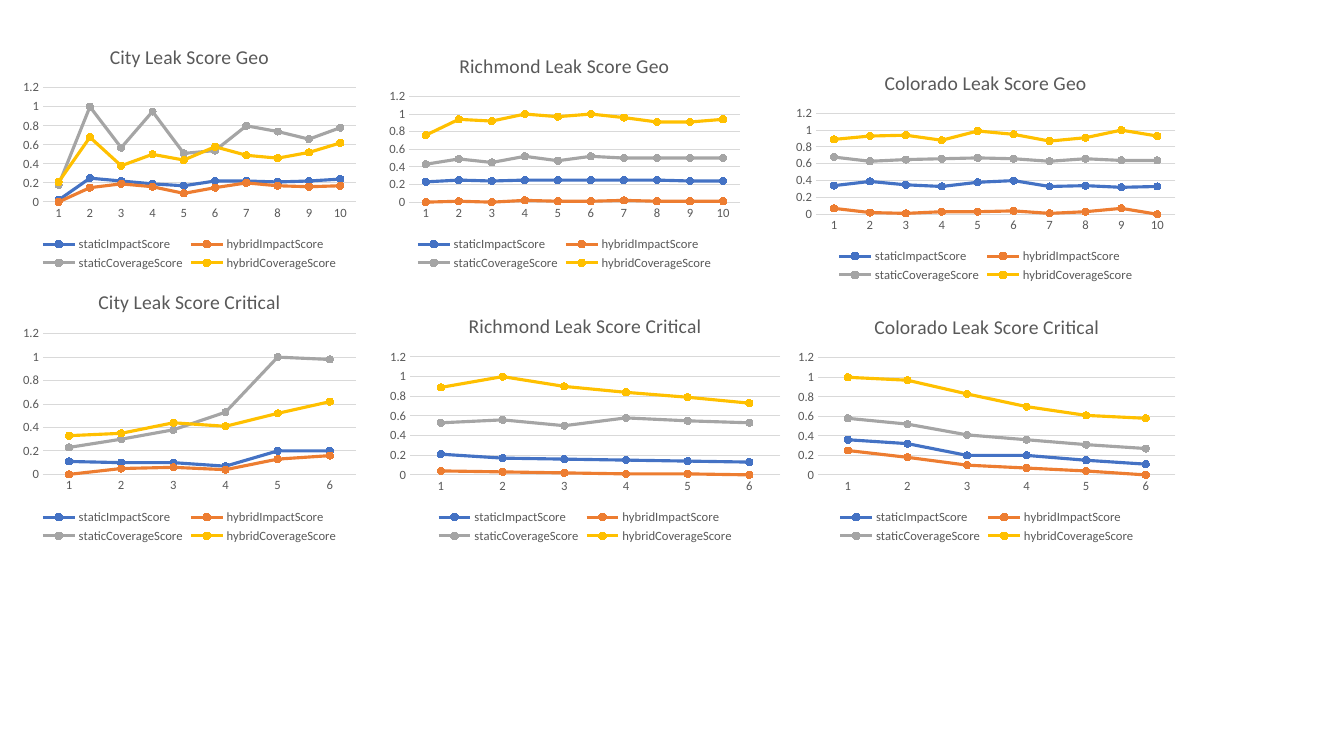
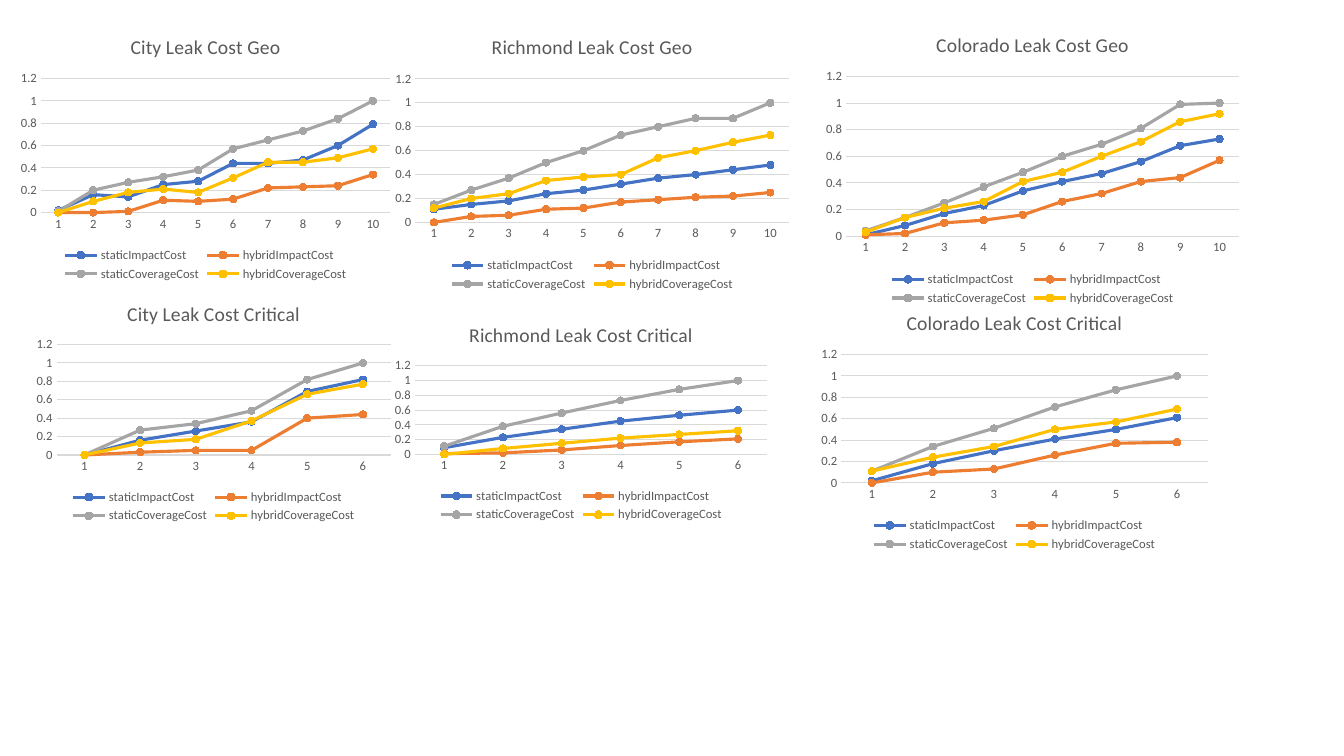
from dataclasses import dataclass
from typing import Any

from pptx import Presentation
from pptx.chart.data import CategoryChartData
from pptx.dml.color import RGBColor
from pptx.enum.chart import XL_CHART_TYPE as ChartType
from pptx.enum.chart import XL_LEGEND_POSITION as LegendPosition
from pptx.enum.chart import XL_MARKER_STYLE as MarkerStyle
from pptx.enum.chart import XL_TICK_MARK as TickMark
from pptx.util import Pt

BLACK = RGBColor(0x00, 0x00, 0x00)
TEXT_GREY = RGBColor(0x59, 0x59, 0x59)
RULE_GREY = RGBColor(0xD9, 0xD9, 0xD9)
BLUE = RGBColor(0x44, 0x72, 0xC4)
ORANGE = RGBColor(0xED, 0x7D, 0x31)
GREY = RGBColor(0xA5, 0xA5, 0xA5)
GOLD = RGBColor(0xFF, 0xC0, 0x00)

SERIES_COLORS = {
    "staticImpact": BLUE,
    "hybridImpact": ORANGE,
    "staticCoverage": GREY,
    "hybridCoverage": GOLD,
}

BASE_FONT = {"name": "Calibri", "size": Pt(10), "bold": False}
LABEL_FONT = BASE_FONT | {"size": Pt(9)}
TITLE_FONT = BASE_FONT | {"size": Pt(14)}

CATEGORY_AXIS = {
    "major_tick_mark": TickMark.NONE,
    "minor_tick_mark": TickMark.NONE,
    "has_major_gridlines": False,
}
VALUE_AXIS = CATEGORY_AXIS | {
    "has_major_gridlines": True,
    "minimum_scale": 0,
    "maximum_scale": 1.2,
    "major_unit": 0.2,
}
LEGEND = {"position": LegendPosition.BOTTOM, "include_in_layout": False}


@dataclass(frozen=True)
class LeakChart:
    """One chart: its wording, its box in points, and one row per series."""
    network: str
    focus: str
    box: tuple[float, float, float, float]
    rows: tuple[tuple[float, ...], ...]


SCORE_CHARTS = (
    LeakChart("City", "Geo", (11.5, 20.9, 247.7, 175), (
        (0.02, 0.25, 0.22, 0.19, 0.17, 0.22, 0.22, 0.21, 0.22, 0.24),
        (0, 0.15, 0.19, 0.16, 0.09, 0.15, 0.2, 0.17, 0.16, 0.17),
        (0.18, 1, 0.57, 0.95, 0.51, 0.54, 0.8, 0.74, 0.66, 0.78),
        (0.21, 0.68, 0.38, 0.5, 0.44, 0.58, 0.49, 0.46, 0.52, 0.62),
    )),
    LeakChart("City", "Critical", (11.5, 195.8, 247.7, 195.1), (
        (0.11, 0.1, 0.1, 0.07, 0.2, 0.2),
        (0, 0.05, 0.06, 0.04, 0.13, 0.16),
        (0.23, 0.3, 0.38, 0.53, 1, 0.98),
        (0.33, 0.35, 0.44, 0.41, 0.52, 0.62),
    )),
    LeakChart("Richmond", "Geo", (272.9, 27.4, 260.6, 168.5), (
        (0.23, 0.25, 0.24, 0.25, 0.25, 0.25, 0.25, 0.25, 0.24, 0.24),
        (0, 0.01, 0, 0.02, 0.01, 0.01, 0.02, 0.01, 0.01, 0.01),
        (0.43, 0.49, 0.45, 0.52, 0.47, 0.52, 0.5, 0.5, 0.5, 0.5),
        (0.76, 0.94, 0.92, 1, 0.97, 1, 0.96, 0.91, 0.91, 0.94),
    )),
    LeakChart("Richmond", "Critical", (272.9, 213.1, 290.2, 177.8), (
        (0.21, 0.17, 0.16, 0.15, 0.14, 0.13),
        (0.04, 0.03, 0.02, 0.01, 0.01, 0),
        (0.53, 0.56, 0.5, 0.58, 0.55, 0.53),
        (0.89, 1, 0.9, 0.84, 0.79, 0.73),
    )),
    LeakChart("Colorado", "Geo", (563, 39.6, 282.2, 164.9), (
        (0.34, 0.39, 0.35, 0.33, 0.38, 0.4, 0.33, 0.34, 0.32, 0.33),
        (0.07, 0.02, 0.01, 0.03, 0.03, 0.04, 0.01, 0.03, 0.07, 0),
        (0.68, 0.63, 0.65, 0.66, 0.67, 0.66, 0.63, 0.66, 0.64, 0.64),
        (0.89, 0.93, 0.94, 0.88, 0.99, 0.95, 0.87, 0.91, 1, 0.93),
    )),
    LeakChart("Colorado", "Critical", (564.5, 213.8, 280.8, 177.1), (
        (0.36, 0.32, 0.2, 0.2, 0.15, 0.11),
        (0.25, 0.18, 0.1, 0.07, 0.04, 0),
        (0.58, 0.52, 0.41, 0.36, 0.31, 0.27),
        (1, 0.97, 0.83, 0.7, 0.61, 0.58),
    )),
)

COST_CHARTS = (
    LeakChart("City", "Geo", (9.4, 13.7, 275, 190.1), (
        (0.02, 0.16, 0.14, 0.25, 0.28, 0.44, 0.44, 0.47, 0.6, 0.79),
        (0, 0, 0.01, 0.11, 0.1, 0.12, 0.22, 0.23, 0.24, 0.34),
        (0.01, 0.2, 0.27, 0.32, 0.38, 0.57, 0.65, 0.73, 0.84, 1),
        (0, 0.1, 0.18, 0.21, 0.18, 0.31, 0.45, 0.45, 0.49, 0.57),
    )),
    LeakChart("City", "Critical", (20.9, 204.5, 263.5, 172.1), (
        (0, 0.16, 0.26, 0.36, 0.69, 0.82),
        (0, 0.03, 0.05, 0.05, 0.4, 0.44),
        (0, 0.27, 0.34, 0.48, 0.82, 1),
        (0, 0.13, 0.17, 0.37, 0.66, 0.77),
    )),
    LeakChart("Richmond", "Geo", (276.5, 13.7, 293, 197.3), (
        (0.11, 0.15, 0.18, 0.24, 0.27, 0.32, 0.37, 0.4, 0.44, 0.48),
        (0, 0.05, 0.06, 0.11, 0.12, 0.17, 0.19, 0.21, 0.22, 0.25),
        (0.15, 0.27, 0.37, 0.5, 0.6, 0.73, 0.8, 0.87, 0.87, 1),
        (0.12, 0.2, 0.24, 0.35, 0.38, 0.4, 0.54, 0.6, 0.67, 0.73),
    )),
    LeakChart("Richmond", "Critical", (276.5, 220.3, 277.2, 155.5), (
        (0.09, 0.23, 0.34, 0.45, 0.53, 0.6),
        (0.01, 0.02, 0.06, 0.12, 0.17, 0.21),
        (0.11, 0.38, 0.56, 0.73, 0.88, 1),
        (0, 0.08, 0.15, 0.22, 0.27, 0.32),
    )),
    LeakChart("Colorado", "Geo", (583.9, 11.5, 307.4, 209.5), (
        (0.01, 0.08, 0.17, 0.23, 0.34, 0.41, 0.47, 0.56, 0.68, 0.73),
        (0.01, 0.02, 0.1, 0.12, 0.16, 0.26, 0.32, 0.41, 0.44, 0.57),
        (0.04, 0.14, 0.25, 0.37, 0.48, 0.6, 0.69, 0.81, 0.99, 1),
        (0.03, 0.14, 0.21, 0.26, 0.41, 0.48, 0.6, 0.71, 0.86, 0.92),
    )),
    LeakChart("Colorado", "Critical", (581, 211, 287.3, 185.8), (
        (0.02, 0.18, 0.3, 0.41, 0.5, 0.61),
        (0, 0.1, 0.13, 0.26, 0.37, 0.38),
        (0.11, 0.34, 0.51, 0.71, 0.87, 1),
        (0.11, 0.24, 0.34, 0.5, 0.57, 0.69),
    )),
)

PAGES = {"Score": SCORE_CHARTS, "Cost": COST_CHARTS}


def apply_format(target: Any, values: dict[str, Any]) -> None:
    for name, value in values.items():
        setattr(target, name, value)


def style_font(font: Any, values: dict[str, Any], color: RGBColor = TEXT_GREY) -> None:
    apply_format(font, values)
    font.color.rgb = color


def style_line(line: Any, color: RGBColor, width: float) -> None:
    line.color.rgb = color
    line.width = Pt(width)


def style_axes(chart: Any) -> None:
    for axis, values in ((chart.category_axis, CATEGORY_AXIS), (chart.value_axis, VALUE_AXIS)):
        apply_format(axis, values)
        style_font(axis.tick_labels.font, LABEL_FONT)
    style_line(chart.category_axis.format.line, RULE_GREY, 0.75)
    style_line(chart.value_axis.major_gridlines.format.line, RULE_GREY, 0.75)
    chart.value_axis.format.line.fill.background()


def style_series(series: Any, color: RGBColor) -> None:
    series.smooth = False
    style_line(series.format.line, color, 2.25)
    apply_format(series.marker, {"style": MarkerStyle.CIRCLE, "size": 5})
    series.marker.format.fill.solid()
    series.marker.format.fill.fore_color.rgb = color
    style_line(series.marker.format.line, color, 0.75)


def set_title(chart: Any, text: str) -> None:
    chart.has_title = True
    chart.chart_title.include_in_layout = False
    para = chart.chart_title.text_frame.paragraphs[0]
    span = para.add_run()
    span.text = text
    style_font(span.font, TITLE_FONT)


def draw_chart(page: Any, leak: LeakChart, metric: str) -> None:
    data = CategoryChartData()
    data.categories = [str(step) for step in range(1, len(leak.rows[0]) + 1)]
    for name, row in zip(SERIES_COLORS, leak.rows):
        data.add_series(name + metric, row)
    box = [Pt(length) for length in leak.box]
    chart = page.shapes.add_chart(ChartType.LINE_MARKERS, *box, data).chart

    style_font(chart.font, BASE_FONT, BLACK)
    set_title(chart, f"{leak.network} Leak {metric} {leak.focus}")
    style_axes(chart)
    chart.has_legend = True
    apply_format(chart.legend, LEGEND)
    style_font(chart.legend.font, LABEL_FONT)
    plot = chart.plots[0]
    plot.vary_by_categories = False
    for series, color in zip(plot.series, SERIES_COLORS.values()):
        style_series(series, color)


def main() -> None:
    deck = Presentation()
    apply_format(deck, {"slide_width": Pt(960), "slide_height": Pt(540)})
    blank = deck.slide_layouts[6]
    for metric, charts in PAGES.items():
        page = deck.slides.add_slide(blank)
        for leak in charts:
            draw_chart(page, leak, metric)
    deck.save("out.pptx")


if __name__ == "__main__":
    main()
